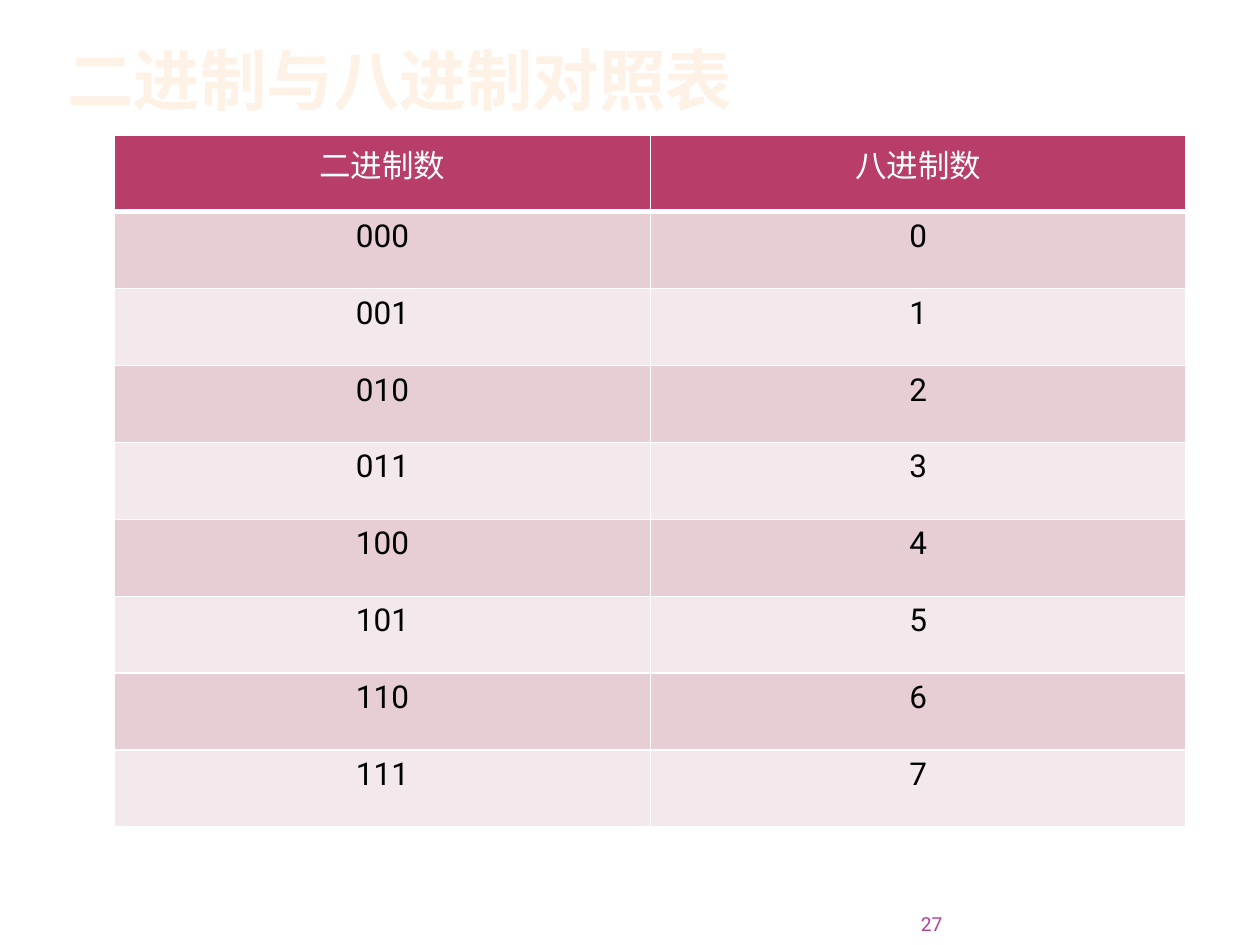
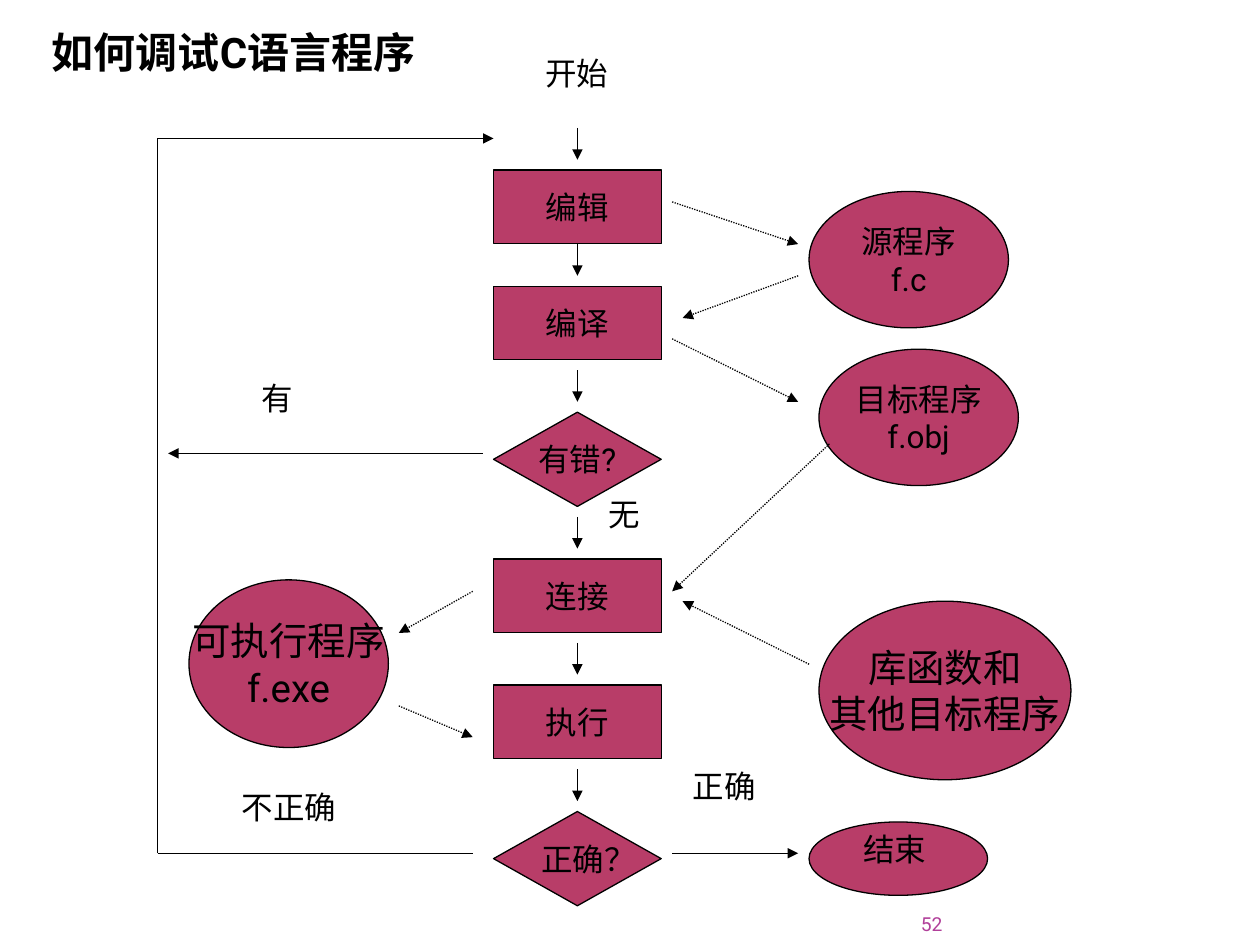
import pptx
import pptx.util
import pptx.dml.color
import pptx.enum.dml
import pptx.enum.shapes
import pptx.enum.text
import pptx.oxml
import pptx.oxml.ns

Cm, Pt = pptx.util.Cm, pptx.util.Pt
RGB = pptx.dml.color.RGBColor
SHAPE = pptx.enum.shapes.MSO_SHAPE
ANCHOR = pptx.enum.text.MSO_ANCHOR
ALIGN = pptx.enum.text.PP_ALIGN
qn = pptx.oxml.ns.qn

# Shared look
FONT = "Roboto"
BERRY = RGB(0xB8, 0x3D, 0x68)
ROSE = RGB(0xE6, 0xCE, 0xD4)
BLUSH = RGB(0xF3, 0xE8, 0xEB)
PURPLE = RGB(0xB1, 0x3F, 0x9A)
CREAM = RGB(0xFE, 0xF1, 0xE6)
BLACK = RGB(0, 0, 0)
WHITE = RGB(0xFF, 0xFF, 0xFF)

# Number table
TABLE_TITLE = "二进制与八进制对照表"
TABLE_HEADER = ("二进制数", "八进制数")
TABLE_ROWS = [TABLE_HEADER] + [(f"{n:03b}", str(n)) for n in range(8)]

# Flowchart, all places in cm
FLOW_TITLE = "如何调试C语言程序"
FLOW_CENTER, STEP_WIDTH = 11.64, 3.38
ARROW_GAP, ARROW_LENGTH = 0.21, 0.64
BOX, DECISION = (SHAPE.RECTANGLE, 1.48), (SHAPE.DIAMOND, 1.9)
STEPS = [  # text, kind, top
    ("编辑", BOX, 3.43),
    ("编译", BOX, 5.77),
    ("有错?", DECISION, 8.31),
    ("连接", BOX, 11.27),
    ("执行", BOX, 13.81),
    ("正确？", DECISION, 16.36),
]
FILES = [  # text, size, left, top, width, height
    ("源程序\nf.c", 18, 16.31, 3.86, 4.02, 2.75),
    ("目标程序\nf.obj", 18, 16.51, 7.04, 4.02, 2.75),
    ("库函数和\n其他目标程序", 22, 16.51, 12.12, 5.08, 3.6),
    ("可执行程序\nf.exe", 22, 3.81, 11.69, 4.02, 3.38),
    ("", 18, 16.31, 16.57, 3.6, 1.48),
]
LOOP_X, LOOP_TOP, LOOP_BOTTOM = 3.18, 2.79, 17.2
LOOP_LINES = [
    (LOOP_X, LOOP_BOTTOM, LOOP_X, LOOP_TOP),
    (LOOP_X, LOOP_BOTTOM, 9.53, LOOP_BOTTOM),
]
BRANCH_ARROWS = [
    (LOOP_X, LOOP_TOP, 9.95, LOOP_TOP),
    (9.73, 9.14, 3.39, 9.14),
    (13.55, LOOP_BOTTOM, 16.09, LOOP_BOTTOM),
]
FILE_ARROWS = [
    (8.04, 14.23, 9.53, 14.86),
    (9.53, 11.92, 8.04, 12.76),
    (13.55, 4.07, 16.09, 4.92),
    (16.09, 5.56, 13.76, 6.41),
    (13.55, 6.83, 16.09, 8.1),
    (16.72, 8.95, 13.55, 11.92),
    (16.31, 13.39, 13.76, 12.12),
]
LABELS = [  # text, left, top
    ("开始", 10.74, 0.97),
    ("结束", 17.15, 16.61),
    ("不正确", 4.62, 15.77),
    ("有", 5.03, 7.52),
    ("正确", 13.72, 15.34),
    ("无", 12.01, 9.86),
]


def write(frame, text, size, color, align=ALIGN.LEFT, bold=False):
    frame.text = text
    for paragraph in frame.paragraphs:
        paragraph.alignment = align
        font = paragraph.font
        font.name, font.size, font.bold = FONT, Pt(size), bold
        font.color.rgb = color


def add_label(slide, text, place, size=18, color=BLACK, align=ALIGN.LEFT):
    frame = slide.shapes.add_textbox(*map(Cm, place)).text_frame
    frame.word_wrap = True
    write(frame, text, size, color, align)
    return frame


def start_slide(deck, title, place, size, color, anchor, number):
    slide = deck.slides.add_slide(deck.slide_layouts[5])
    heading = slide.shapes.title
    heading.left, heading.top, heading.width, heading.height = map(Cm, place)
    frame = heading.text_frame
    frame.auto_size = pptx.enum.text.MSO_AUTO_SIZE.NONE
    frame.vertical_anchor = anchor
    write(frame, title, size, color, bold=True)
    page = add_label(slide, number, (17.37, 18.21, 1.63, 0.64), 11, PURPLE, ALIGN.RIGHT)
    page.margin_left = page.margin_right = page.margin_top = page.margin_bottom = 0
    page.vertical_anchor = ANCHOR.BOTTOM
    return slide


def set_borders(cell, is_header):
    properties = cell._tc.get_or_add_tcPr()
    for position, side in enumerate(("lnL", "lnR", "lnT", "lnB")):
        width = Pt(3 if is_header and side == "lnB" else 1)
        border = pptx.oxml.parse_xml(
            f'<a:{side} {pptx.oxml.ns.nsdecls("a")} w="{width}"><a:solidFill>'
            f'<a:srgbClr val="{WHITE}"/></a:solidFill></a:{side}>')
        properties.insert(position, border)


def add_node(slide, kind, text, size, place):
    node = slide.shapes.add_shape(kind, *map(Cm, place))
    node.shadow.inherit = False
    node.fill.solid()
    node.fill.fore_color.rgb = BERRY
    node.line.color.rgb = BLACK
    node.line.width = Pt(0.75)
    if text:
        node.text_frame.word_wrap = False
        node.text_frame.vertical_anchor = ANCHOR.MIDDLE
        write(node.text_frame, text, size, BLACK, ALIGN.CENTER)
    return node


def add_line(slide, ends, arrow=True, dotted=False):
    line = slide.shapes.add_connector(
        pptx.enum.shapes.MSO_CONNECTOR.STRAIGHT, *map(Cm, ends))
    line.line.color.rgb = BLACK
    line.line.width = Pt(0.75)
    if dotted:
        line.line.dash_style = pptx.enum.dml.MSO_LINE.ROUND_DOT
    if arrow:
        tail = line.line._get_or_add_ln().makeelement(qn("a:tailEnd"), {"type": "triangle"})
        line.line._get_or_add_ln().append(tail)
    properties = line._element.spPr
    properties.append(properties.makeelement(qn("a:effectLst"), {}))
    return line


def build_number_table(deck):
    slide = start_slide(deck, TABLE_TITLE, (1.1, 0.6, 22, 2), 38, CREAM,
                        ANCHOR.MIDDLE, "27")
    numbers = slide.shapes.add_table(
        len(TABLE_ROWS), len(TABLE_HEADER), Cm(2.31), Cm(2.72), Cm(21.6), Cm(13.95)).table
    for r, row in enumerate(TABLE_ROWS):
        for c, value in enumerate(row):
            cell = numbers.cell(r, c)
            write(cell.text_frame, value, 18, BLACK if r else WHITE, ALIGN.CENTER)
            cell.fill.solid()
            cell.fill.fore_color.rgb = (ROSE if r % 2 else BLUSH) if r else BERRY
            set_borders(cell, r == 0)


def build_flowchart(deck):
    slide = start_slide(deck, FLOW_TITLE, (0.79, 0.41, 8.94, 1.27), 24, BLACK,
                        ANCHOR.TOP, "52")
    # Steps down the middle, each with an arrow above it
    steps = []
    for text, (kind, height), top in STEPS:
        place = (FLOW_CENTER - STEP_WIDTH / 2, top, STEP_WIDTH, height)
        steps.append(add_node(slide, kind, text, 18, place))
        tip = top - ARROW_GAP
        arrow = add_line(slide, (FLOW_CENTER, tip - ARROW_LENGTH, FLOW_CENTER, tip))
        if text == "编译":
            arrow.begin_connect(steps[0], 2)
    steps[-1].text_frame.margin_left = Cm(0.7)

    # Files and the end
    for text, size, *place in FILES:
        add_node(slide, SHAPE.OVAL, text, size, place)

    # Loop back, branches and file traffic
    for ends in LOOP_LINES:
        add_line(slide, ends, arrow=False)
    for ends in BRANCH_ARROWS:
        add_line(slide, ends)
    for ends in FILE_ARROWS:
        add_line(slide, ends, dotted=True)

    for text, left, top in LABELS:
        add_label(slide, text, (left, top, 0.53 + 0.84 * len(text), 1.27))


def main():
    deck = pptx.Presentation()
    deck.slide_width, deck.slide_height = Cm(25.4), Cm(19.05)
    build_number_table(deck)
    build_flowchart(deck)
    deck.save("out.pptx")


if __name__ == "__main__":
    main()
